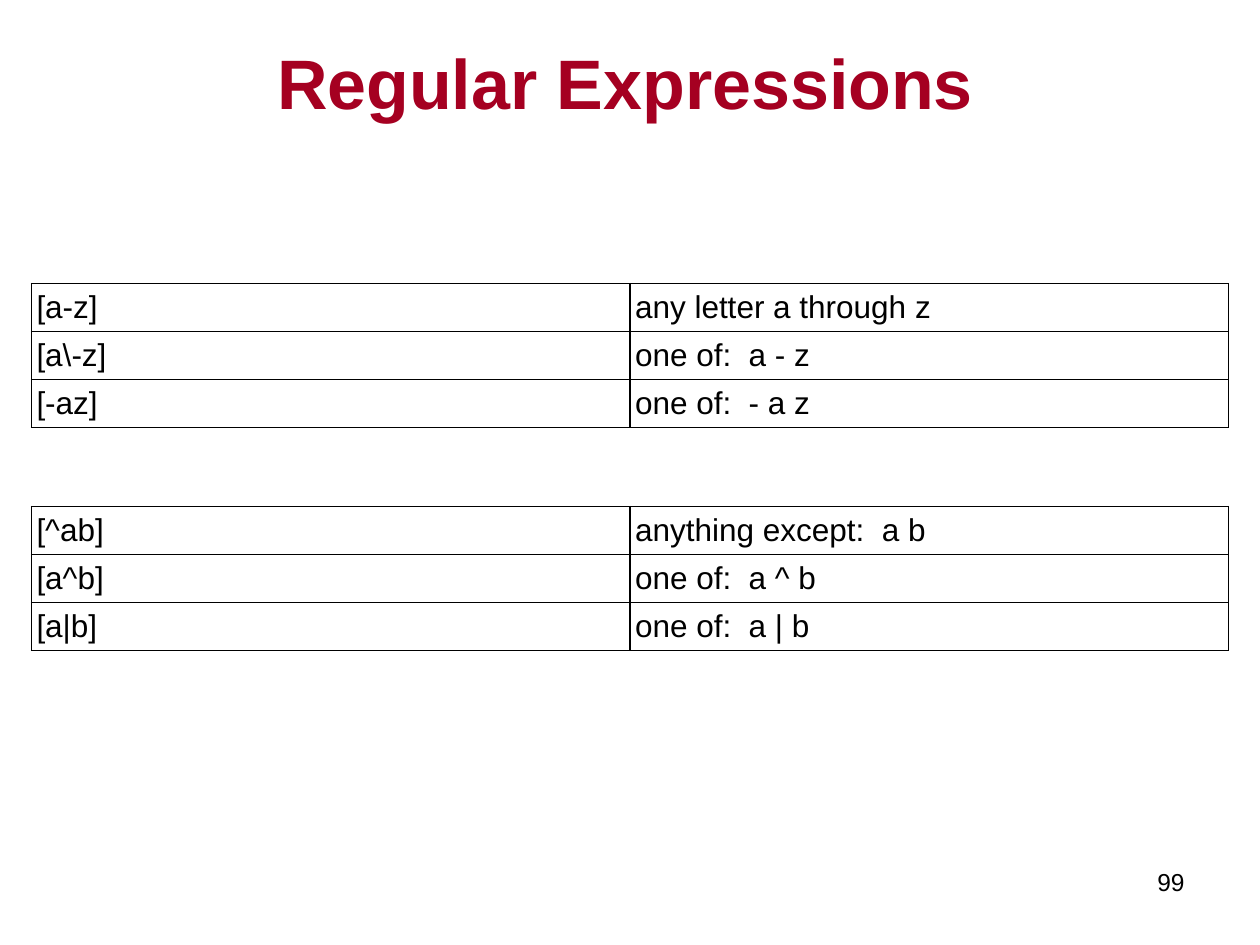
from pptx import Presentation
from pptx.dml.color import RGBColor as RGB
from pptx.enum.text import MSO_ANCHOR as Anchor, PP_ALIGN as Align
from pptx.oxml import parse_xml
from pptx.oxml.ns import nsdecls
from pptx.util import Inches as In, Pt

HUES = {"title": "A50021", "ink": "000000"}
COL, ROW, PAD = 4.75, 0.36, 0.04
LEFT = 0.25


def write(frame, text, size=18, hue="ink", bold=False, align=Align.LEFT):
    frame.word_wrap = True
    para = frame.paragraphs[0]
    para.alignment = align
    run = para.add_run()
    run.text = text
    font = run.font
    font.name, font.size, font.bold = "Arial", Pt(size), bold
    font.color.rgb = RGB.from_string(HUES[hue])


def border(cell):
    props = cell._tc.get_or_add_tcPr()
    for spot, side in enumerate("LRTB"):
        props.insert(spot, parse_xml(
            f'<a:ln{side} {nsdecls("a")} w="{Pt(0.75)}"><a:solidFill>'
            f'<a:srgbClr val="{HUES["ink"]}"/></a:solidFill></a:ln{side}>'))


deck = Presentation()
deck.slide_width, deck.slide_height = In(10), In(7.5)
slide = deck.slides.add_slide(deck.slide_layouts[6])

# Title
head = slide.shapes.add_textbox(In(0.17), In(0.3), In(9.58), In(0.7)).text_frame
head.vertical_anchor = Anchor.MIDDLE
write(head, "Regular Expressions", size=40, hue="title", bold=True, align=Align.CENTER)

# Pattern tables: top edge, then pattern and meaning
tables = [
    (2.25, [("[a-z]", "any letter a through z"),
            (r"[a\-z]", "one of:  a - z"),
            ("[-az]", "one of:  - a z")]),
    (4.02, [("[^ab]", "anything except:  a b"),
            ("[a^b]", "one of:  a ^ b"),
            ("[a|b]", "one of:  a | b")]),
]
for top, rows in tables:
    count = len(rows)
    table = slide.shapes.add_table(
        count, 2, In(LEFT), In(top), In(2 * COL), In(count * ROW)).table
    table.first_row = table.horz_banding = False
    for r, texts in enumerate(rows):
        for c, text in enumerate(texts):
            cell = table.cell(r, c)
            cell.margin_left = cell.margin_right = In(PAD)
            cell.margin_top = cell.margin_bottom = In(PAD)
            cell.vertical_anchor = Anchor.MIDDLE
            cell.fill.background()
            border(cell)
            write(cell.text_frame, text)

# Page number
page = slide.shapes.add_textbox(In(7.17), In(6.83), In(2.33), In(0.52)).text_frame
write(page, "99", size=14, align=Align.RIGHT)

deck.save("out.pptx")
